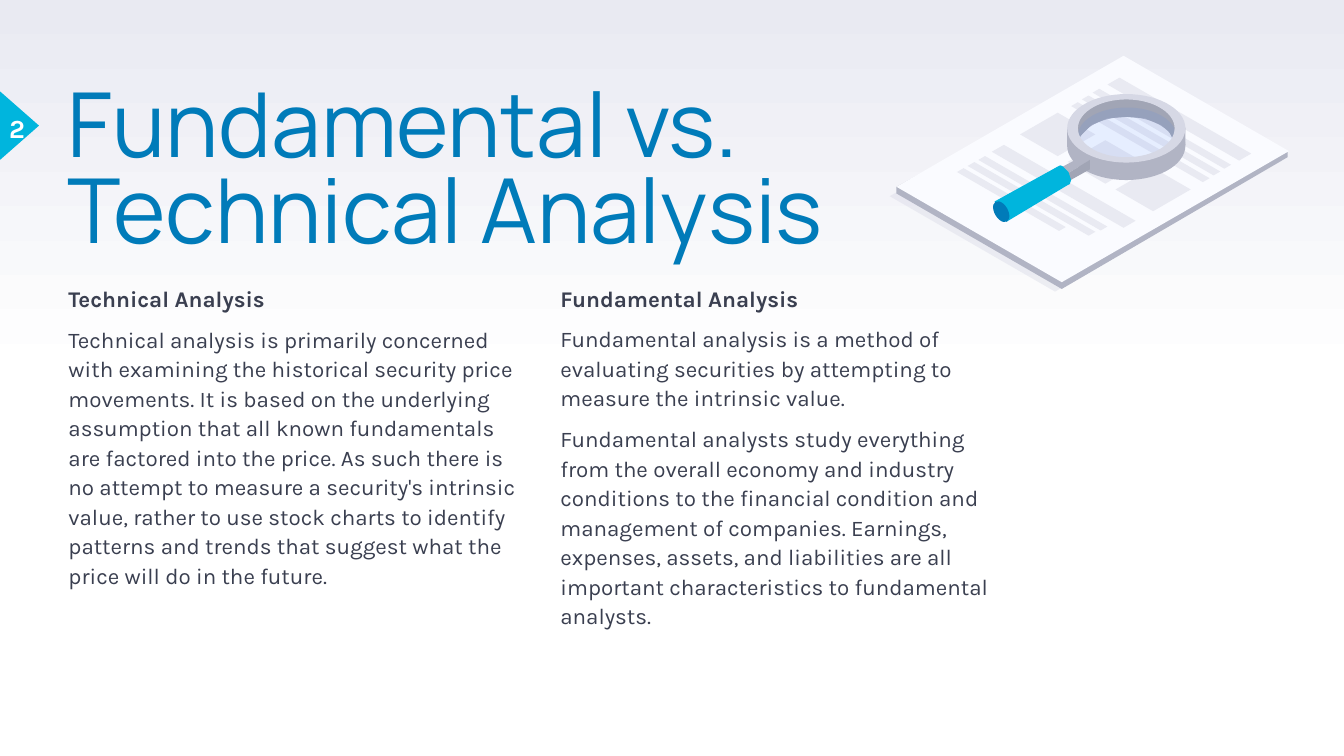
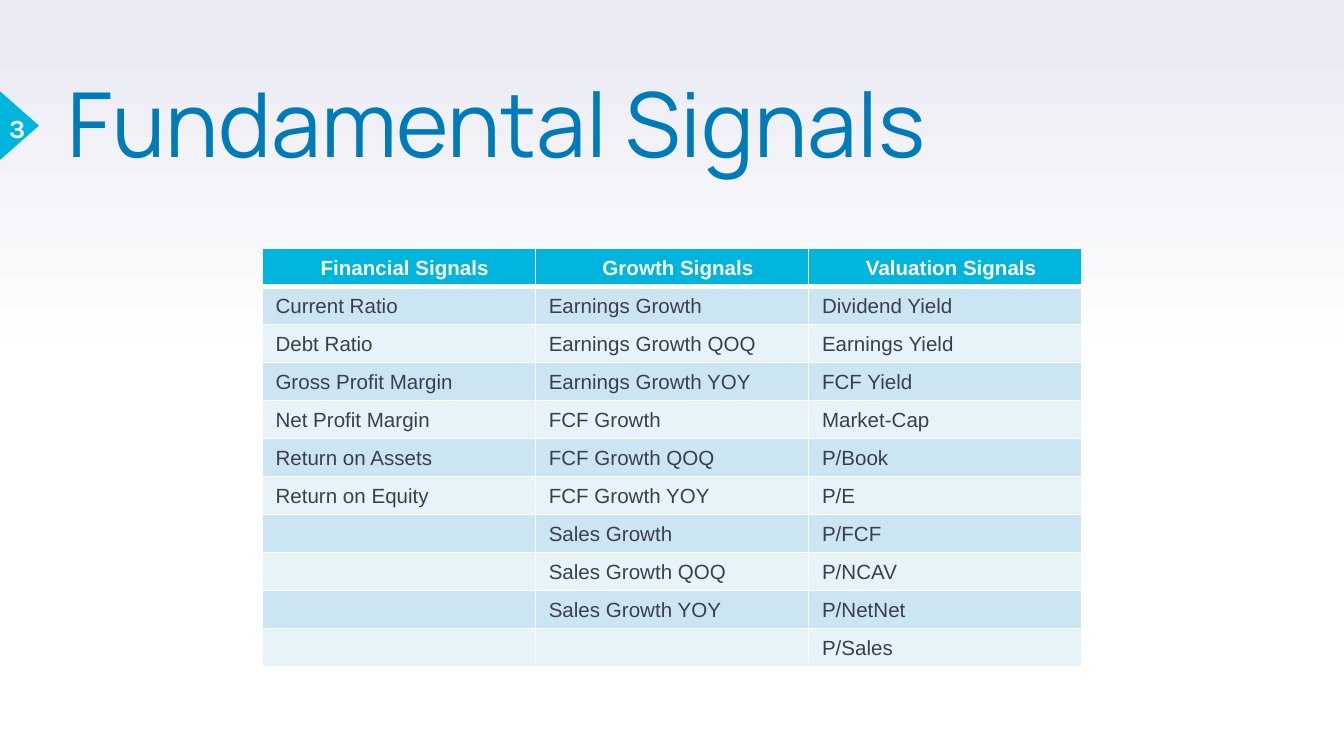
from copy import deepcopy
from dataclasses import dataclass
from itertools import zip_longest
from math import cos, pi, sin

from lxml import etree
from pptx import Presentation
from pptx import util as u
from pptx.dml.color import RGBColor
from pptx.enum import shapes, text
from pptx.oxml.ns import qn


@dataclass(frozen=True)
class Theme:
    white: str = "FFFFFF"
    haze: str = "E9EAF2"
    ink: str = "3A3F50"
    blue: str = "007BB9"
    cyan: str = "00B5DD"
    band_dark: str = "CCE5F2"
    band_light: str = "E7F3F9"
    paper: str = "FAFBFF"
    silver: str = "D6D8E5"
    grey: str = "B1B4C4"
    dark_grey: str = "A1A5B5"
    glass: str = "3E7EFF"
    black: str = "000000"
    title_font: str = "Manrope"
    body_font: str = "Karla"
    table_font: str = "Arial"
    title_size: int = 48
    number_size: int = 14
    body_size: int = 12
    table_size: int = 11


THEME = Theme()
SLIDE_WIDTH = 10
SLIDE_HEIGHT = SLIDE_WIDTH * 9 / 16
ISO_SLOPE = 0.577

TECHNICAL = [
    "Technical Analysis",
    "Technical analysis is primarily concerned with examining the historical security price "
    "movements. It is based on the underlying assumption that all known fundamentals are "
    "factored into the price. As such there is no attempt to measure a security's intrinsic "
    "value, rather to use stock charts to identify patterns and trends that suggest what the "
    "price will do in the future.",
]
FUNDAMENTAL = [
    "Fundamental Analysis",
    "Fundamental analysis is a method of evaluating securities by attempting to measure the "
    "intrinsic value.",
    "Fundamental analysts study everything from the overall economy and industry conditions "
    "to the financial condition and management of companies. Earnings, expenses, assets, and "
    "liabilities are all important characteristics to fundamental analysts.",
]
SIGNALS = {
    "Financial Signals": ["Current Ratio", "Debt Ratio", "Gross Profit Margin",
                          "Net Profit Margin", "Return on Assets", "Return on Equity"],
    "Growth Signals": [f"{measure} Growth{period}"
                       for measure in ("Earnings", "FCF", "Sales")
                       for period in ("", " QOQ", " YOY")],
    "Valuation Signals": ["Dividend Yield", "Earnings Yield", "FCF Yield", "Market-Cap",
                          "P/Book", "P/E", "P/FCF", "P/NCAV", "P/NetNet", "P/Sales"],
}


def rgb(color):
    return RGBColor.from_string(color)


def inches(*lengths):
    return [u.Inches(length) for length in lengths]


def paint(shape, color, opacity=100):
    shape.shadow.inherit = False
    shape.line.fill.background()
    shape.fill.solid()
    shape.fill.fore_color.rgb = rgb(color)
    if opacity < 100:
        solid = shape.element.spPr.find(qn("a:solidFill"))
        etree.SubElement(solid[0], qn("a:alpha"), val=str(opacity * 1000))


def style(font, name, size, color, bold=False):
    font.name = name
    font.size = u.Pt(size)
    font.color.rgb = rgb(color)
    font.bold = bold


def add_text(slide, box, inset=0):
    frame = slide.shapes.add_textbox(*inches(*box)).text_frame
    frame.word_wrap = True
    frame.margin_left = frame.margin_top = u.Inches(inset)
    frame.margin_right = frame.margin_bottom = u.Inches(inset)
    return frame


def add_background(slide):
    fill = slide.background.fill
    fill.gradient()
    fill.gradient_angle = 90
    stop_list = slide.element.find(".//" + qn("a:gsLst"))
    stop_list.insert(1, deepcopy(stop_list[0]))
    colors = (THEME.white, THEME.white, THEME.haze)
    for stop, color, position in zip(fill.gradient_stops, colors, (0, 0.5, 1)):
        stop.color.rgb = rgb(color)
        stop.position = position


def add_page_number(slide, number):
    marker = slide.shapes.add_shape(
        shapes.MSO_SHAPE.ISOSCELES_TRIANGLE, *inches(-0.11, 0.79, 0.51, 0.29))
    marker.rotation = 90
    paint(marker, THEME.cyan)
    frame = add_text(slide, (-0.03, 0.72, 0.26, 0.46), inset=0.1)
    frame.vertical_anchor = text.MSO_ANCHOR.MIDDLE
    frame.text = str(number)
    digit = frame.paragraphs[0]
    digit.alignment = text.PP_ALIGN.CENTER
    style(digit.runs[0].font, THEME.body_font, THEME.number_size, THEME.white, True)


def add_title(slide, title, width):
    frame = add_text(slide, (0.5, 0.66, width, 1.18))
    frame.text = title
    frame.paragraphs[0].line_spacing = 0.8
    style(frame.paragraphs[0].runs[0].font, THEME.title_font, THEME.title_size, THEME.blue)


def start_slide(deck, number, title, title_width):
    slide = deck.slides.add_slide(deck.slide_layouts[6])
    add_background(slide)
    add_page_number(slide, number)
    add_title(slide, title, title_width)
    return slide


def add_column(slide, box, passages):
    """Write a bold heading followed by plain paragraphs."""
    frame = add_text(slide, box)
    frame.text = "\n".join(passages)
    for index, paragraph in enumerate(frame.paragraphs):
        paragraph.line_spacing = 1.1
        paragraph.space_before = u.Pt(6 if index else 0)
        style(paragraph.runs[0].font, THEME.body_font, THEME.body_size, THEME.ink, index == 0)


def add_outline(group, origin, contours, color, opacity=100):
    """Fill closed contours given relative to origin; a second contour is a hole."""
    placed = [[inches(origin[0] + x, origin[1] + y) for x, y in contour]
              for contour in contours]
    builder = group.shapes.build_freeform(*placed[0][0], scale=1.0)
    builder.add_line_segments(placed[0][1:])
    for hole in placed[1:]:
        builder.move_to(*hole[0])
        builder.add_line_segments(hole[1:])
    paint(builder.convert_to_shape(), color, opacity)


def iso_bar(x, y, run, depth):
    """Corners of an isometric rectangle whose left corner is (x, y)."""
    rise, fall = depth * ISO_SLOPE, run * ISO_SLOPE
    return [(x, y), (x + depth, y - rise), (x + run + depth, y + fall - rise),
            (x + run, y + fall)]


def ellipse(x, y, width, height, steps=60):
    turns = [2 * pi * step / steps for step in range(steps)]
    return [(x + width / 2 * (1 + cos(turn)), y + height / 2 * (1 + sin(turn)))
            for turn in turns]


def add_report(group, origin):
    add_outline(group, origin, [iso_bar(0, 1.04, 1.23, 1.69)], THEME.silver, 40)
    edge = [(0.05, 0.97), (0.05, 1.02), (1.28, 1.73), (2.96, 0.75), (2.96, 0.71), (1.74, 0.04)]
    add_outline(group, origin, [edge], THEME.grey)
    add_outline(group, origin, [iso_bar(0.05, 0.97, 1.23, 1.69)], THEME.paper)
    headings = [(1.62, 0.21, 0.98, 0.09), (0.76, 0.71, 0.98, 0.09)]
    upper_lines = [(1.51 - 0.08 * i, 0.27 + 0.05 * i, 0.98, 0.05) for i in range(3)]
    lower_lines = [(0.66 - 0.08 * i, 0.77 + 0.045 * i, run, 0.05)
                   for i, run in enumerate((0.91, 0.9, 0.76))]
    tiles = [(0.97 + 0.355 * i, 0.58 + 0.205 * i, 0.28, 0.28) for i in range(3)]
    for bar in headings + upper_lines + lower_lines + tiles:
        add_outline(group, origin, [iso_bar(*bar)], THEME.haze)


def add_lens(group, origin):
    def rim(y):
        return [ellipse(1.32, y, 0.88, 0.51), ellipse(1.4, y + 0.04, 0.72, 0.43)]

    back_wall = [(2.1, 0.6), (2.08, 0.56), (2.02, 0.51), (1.9, 0.46), (1.76, 0.45),
                 (1.62, 0.46), (1.5, 0.51), (1.41, 0.6), (1.37, 0.53), (1.42, 0.41),
                 (1.59, 0.31), (1.91, 0.32), (2.13, 0.45), (2.13, 0.58)]
    left_side = [(1.32, 0.66), (1.32, 0.53), (1.39, 0.64)]
    right_side = [(2.2, 0.66), (2.2, 0.53), (2.14, 0.59)]
    front_wall = [(1.35, 0.61), (1.35, 0.68), (1.42, 0.79), (1.58, 0.87), (1.83, 0.89),
                  (2.02, 0.83), (2.12, 0.73), (2.15, 0.61), (2.04, 0.7), (1.89, 0.75),
                  (1.67, 0.76), (1.51, 0.73)]
    add_outline(group, origin, rim(0.41), THEME.grey)
    add_outline(group, origin, [back_wall], THEME.dark_grey)
    for side in (left_side, right_side):
        add_outline(group, origin, [side], THEME.grey)
    pane = group.shapes.add_shape(
        shapes.MSO_SHAPE.OVAL, *inches(origin[0] + 1.4, origin[1] + 0.38, 0.73, 0.42))
    paint(pane, THEME.glass, 10)
    add_outline(group, origin, [front_wall], THEME.grey)
    add_outline(group, origin, rim(0.28), THEME.silver)


def add_handle(group, origin):
    def add_cap(color, opacity=100):
        cap = group.shapes.add_shape(
            shapes.MSO_SHAPE.OVAL, *inches(origin[0] + 0.78, origin[1] + 1.07, 0.1, 0.17))
        cap.rotation = 330
        paint(cap, color, opacity)

    neck_top = [(1.49, 0.77), (1.31, 0.88), (1.25, 0.84), (1.44, 0.74)]
    neck_side = [(1.49, 0.84), (1.31, 0.94), (1.31, 0.88), (1.49, 0.77)]
    grip = [(1.35, 0.92), (1.33, 0.86), (1.29, 0.82), (1.27, 0.81), (1.25, 0.82),
            (0.78, 1.08), (0.87, 1.23), (1.32, 0.96), (1.34, 0.95)]
    add_cap(THEME.black, 10)
    for part, color in ((neck_top, THEME.grey), (neck_side, THEME.dark_grey),
                        (grip, THEME.cyan)):
        add_outline(group, origin, [part], color)
    add_cap(THEME.blue)


def add_research_drawing(slide, origin):
    """Draw a magnifying glass lying on a printed report."""
    group = slide.shapes.add_group_shape()
    for add_part in (add_report, add_lens, add_handle):
        add_part(group, origin)


def set_borders(cell, top, bottom):
    """Give a filled cell white borders, with top and bottom widths in points."""
    properties = cell._tc.get_or_add_tcPr()
    for index, (side, points) in enumerate(
            (("L", 1), ("R", 1), ("T", top), ("B", bottom))):
        line = etree.Element(qn(f"a:ln{side}"), w=str(u.Pt(points)))
        solid = etree.SubElement(line, qn("a:solidFill"))
        etree.SubElement(solid, qn("a:srgbClr"), val=THEME.white)
        properties.insert(index, line)


def fill_cell(cell, label, row):
    header = row == 0
    cell.margin_left, cell.margin_right, cell.margin_top, cell.margin_bottom = inches(
        0.1, 0.01, 0.01, 0)
    cell.vertical_anchor = text.MSO_ANCHOR.MIDDLE
    cell.fill.solid()
    band = THEME.band_dark if row % 2 else THEME.band_light
    cell.fill.fore_color.rgb = rgb(THEME.cyan if header else band)
    set_borders(cell, top=3 if row == 1 else 1, bottom=3 if header else 1)
    paragraph = cell.text_frame.paragraphs[0]
    if not label:
        etree.SubElement(paragraph._p, qn("a:endParaRPr"), sz=str(THEME.table_size * 100))
        return
    paragraph.text = label
    paragraph.alignment = text.PP_ALIGN.CENTER if header else text.PP_ALIGN.LEFT
    style(paragraph.runs[0].font, THEME.table_font, THEME.table_size,
          THEME.white if header else THEME.ink, header)


def add_signal_table(slide, box, signals):
    rows = [list(signals), *zip_longest(*signals.values(), fillvalue="")]
    table = slide.shapes.add_table(len(rows), len(signals), *inches(*box)).table
    for row, labels in enumerate(rows):
        for column, label in enumerate(labels):
            fill_cell(table.cell(row, column), label, row)


def build_comparison(deck):
    slide = start_slide(deck, 2, "Fundamental vs. Technical Analysis", 6.17)
    add_column(slide, (4.17, 2.1, 3.33, 2.33), FUNDAMENTAL)
    add_column(slide, (0.51, 2.1, 3.33, 3.38), TECHNICAL)
    add_research_drawing(slide, (6.62, 0.42))


def build_signals(deck):
    slide = start_slide(deck, 3, "Fundamental Signals", 6.8)
    add_signal_table(slide, (1.95, 1.85, 6.1, 3.11), SIGNALS)


def main():
    deck = Presentation()
    deck.slide_width, deck.slide_height = inches(SLIDE_WIDTH, SLIDE_HEIGHT)
    build_comparison(deck)
    build_signals(deck)
    deck.save("out.pptx")


if __name__ == "__main__":
    main()
